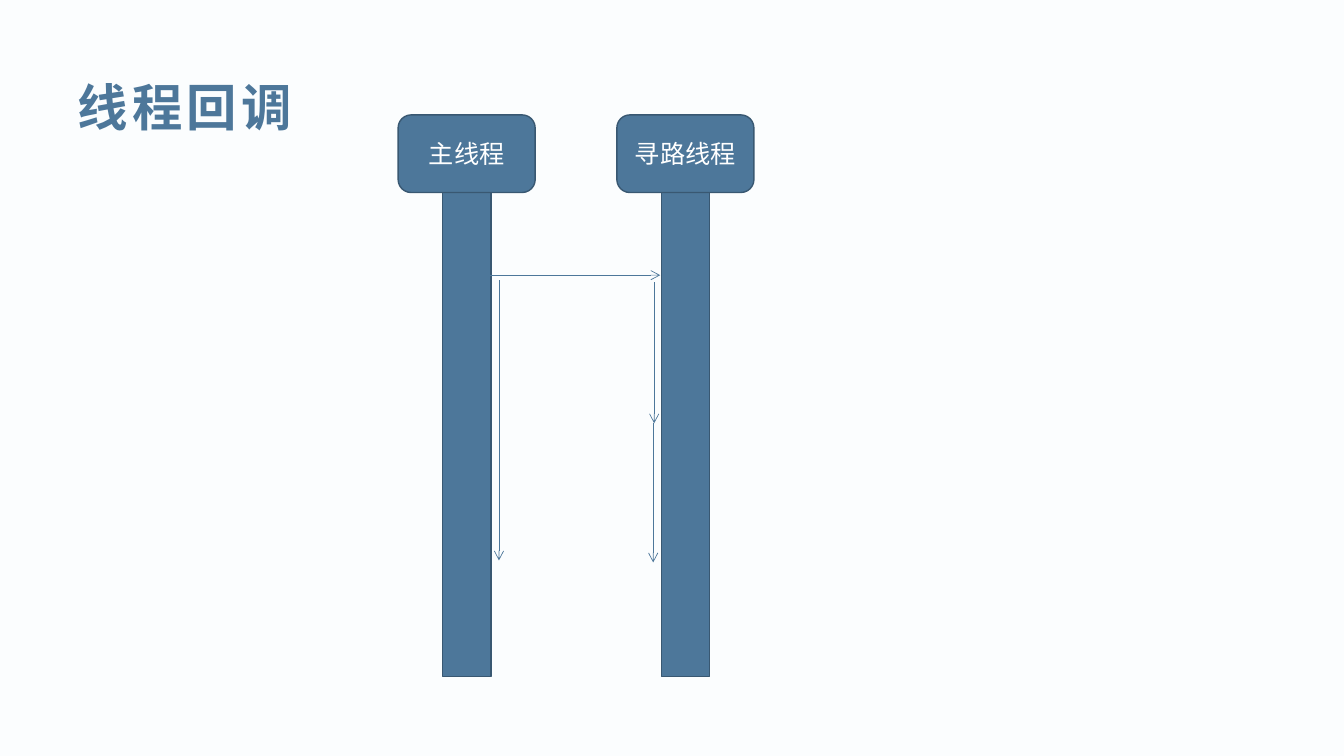
from pptx import Presentation
from pptx.dml.color import RGBColor
from pptx.enum.shapes import MSO_CONNECTOR, MSO_SHAPE
from pptx.enum.text import MSO_ANCHOR, MSO_AUTO_SIZE, PP_ALIGN
from pptx.oxml.ns import qn
from pptx.util import Pt
from lxml.etree import SubElement

BLUE = "4D779A"
EDGE = "395872"
LANE_WIDTH, LANE_HEIGHT, LANE_PITCH = 97.92, 401.04, 156.24
HEADER_HEIGHT, BAR_WIDTH, BAR_TOP = 55.44, 34.56, 36


def color(value):
    return RGBColor.from_string(value)


def add_text(frame, text, size, ink, align, bold=False):
    frame.word_wrap = True
    frame.auto_size = MSO_AUTO_SIZE.NONE
    frame.vertical_anchor = MSO_ANCHOR.MIDDLE
    para = frame.paragraphs[0]
    para.alignment = align
    span = para.add_run()
    span.text = text
    span.font.name = "Arial"
    span.font.size = Pt(size)
    span.font.bold = bold
    span.font.color.rgb = color(ink)
    return span


def add_title(page, text, left, top, width, height):
    title = page.shapes.title
    title.left, title.top = Pt(left), Pt(top)
    title.width, title.height = Pt(width), Pt(height)
    span = add_text(title.text_frame, text, 36, BLUE, PP_ALIGN.LEFT, True)
    span.font._element.set("spc", "300")


def add_block(page, kind, left, top, width, height):
    block = page.shapes.add_shape(kind, Pt(left), Pt(top), Pt(width), Pt(height))
    block.shadow.inherit = False
    block.fill.solid()
    block.fill.fore_color.rgb = color(BLUE)
    block.line.color.rgb = color(EDGE)
    block.line.width = Pt(1)
    return block


def add_lane(page, name, left, top, width, height):
    add_block(page, MSO_SHAPE.RECTANGLE, left + (width - BAR_WIDTH) / 2,
              top + BAR_TOP, BAR_WIDTH, height - BAR_TOP)
    header = add_block(page, MSO_SHAPE.ROUNDED_RECTANGLE, left, top, width, HEADER_HEIGHT)
    add_text(header.text_frame, name, 18, "FFFFFF", PP_ALIGN.CENTER)


def add_arrow(page, x1, y1, x2, y2):
    arrow = page.shapes.add_connector(MSO_CONNECTOR.STRAIGHT, Pt(x1), Pt(y1), Pt(x2), Pt(y2))
    arrow.line.color.rgb = color(BLUE)
    arrow.line.width = Pt(0.5)
    SubElement(arrow.line._get_or_add_ln(), qn("a:tailEnd"), type="arrow")
    SubElement(arrow._element.spPr, qn("a:effectLst"))


def add_sequence(page, left, top):
    for index, name in enumerate(["主线程", "寻路线程"]):
        add_lane(page, name, left + index * LANE_PITCH, top, LANE_WIDTH, LANE_HEIGHT)
    for x1, y1, x2, y2 in [
        (64.8, 114.48, 187.2, 114.48),
        (182.88, 119.52, 182.88, 220.32),
        (182.16, 220.32, 182.16, 319.68),
        (72, 118.08, 72, 318.24),
    ]:
        add_arrow(page, left + x1, top + y1, left + x2, top + y2)


def main():
    deck = Presentation()
    deck.slide_width, deck.slide_height = Pt(960), Pt(540)
    page = deck.slides.add_slide(deck.slide_layouts[5])
    page.background.fill.solid()
    page.background.fill.fore_color.rgb = color("FBFDFE")
    add_title(page, "线程回调", 48.24, 48.24, 884.16, 55.44)
    add_sequence(page, 284.4, 82.08)
    deck.save("out.pptx")


if __name__ == "__main__":
    main()
